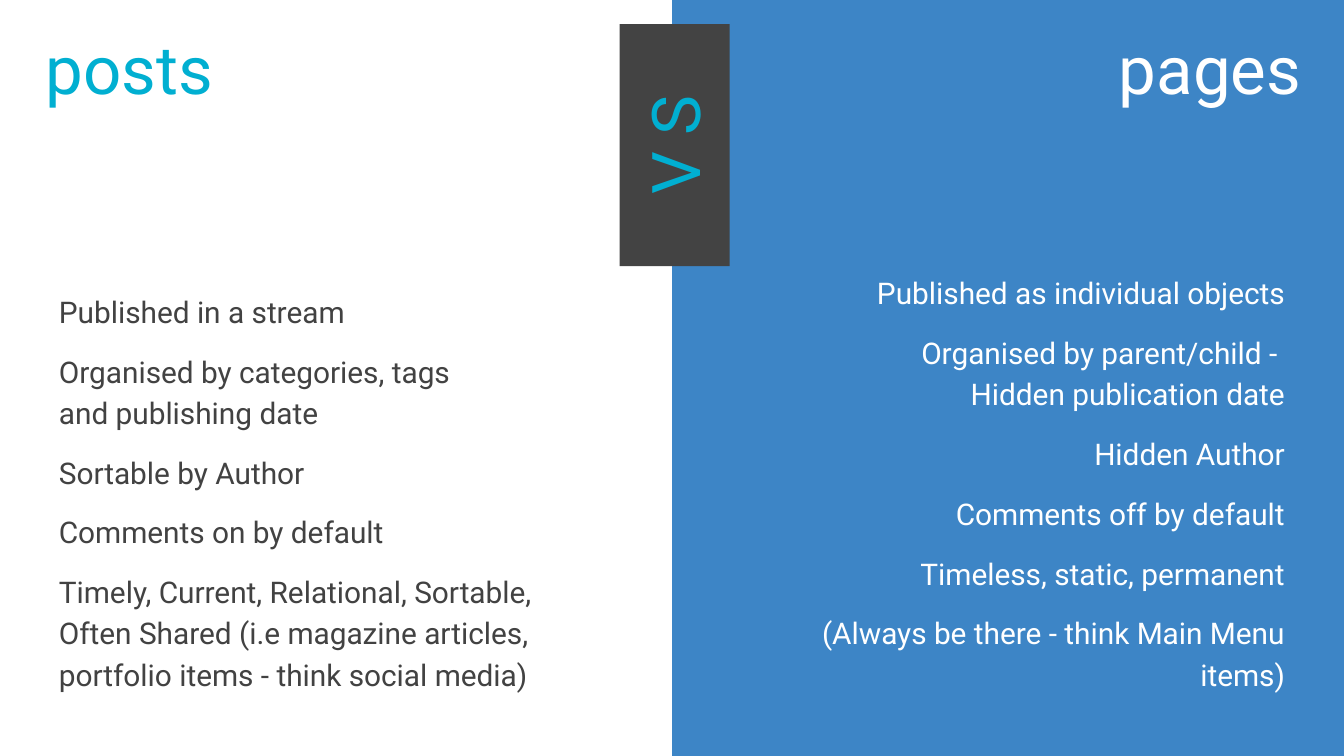
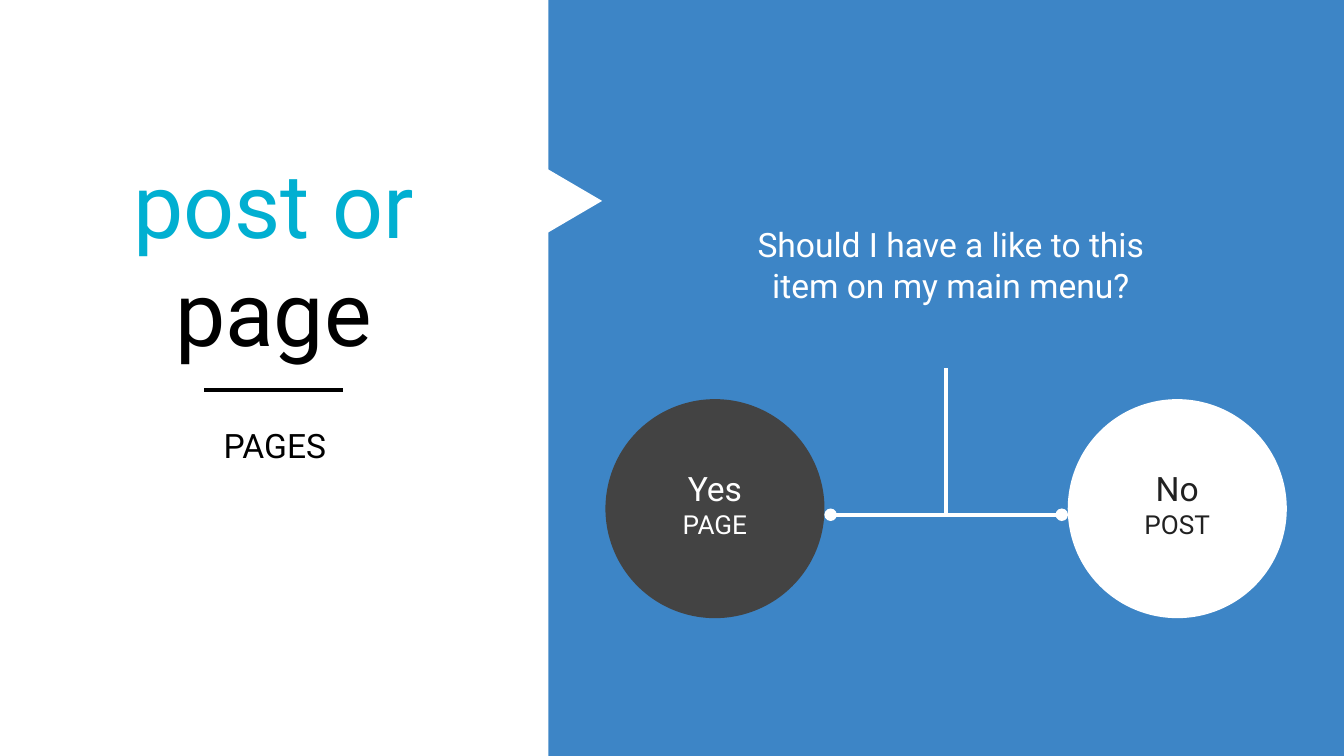
import pptx
import pptx.util
import pptx.dml.color
import pptx.enum.shapes
import pptx.enum.text
import pptx.oxml
import pptx.oxml.ns
import lxml.etree

Inches = pptx.util.Inches
Pt = pptx.util.Pt
SHAPE = pptx.enum.shapes.MSO_SHAPE
ANCHOR = pptx.enum.text.MSO_ANCHOR
ALIGN = pptx.enum.text.PP_ALIGN
qn = pptx.oxml.ns.qn

# Content
POSTS = [
    "Published in a stream",
    "Organised by categories, tags \nand publishing date",
    "Sortable by Author",
    "Comments on by default",
    "Timely, Current, Relational, Sortable, Often Shared "
    "(i.e magazine articles, portfolio items - think social media)",
]
PAGES = [
    "Published as individual objects",
    "Organised by parent/child - \nHidden publication date",
    "Hidden Author",
    "Comments off by default",
    "Timeless, static, permanent",
    "(Always be there - think Main Menu items)",
]
QUESTION = "Should I have a like to this item on my main menu?"
ANSWERS = [("Yes", "PAGE", "dark", "white"), ("No", "POST", "white", "ink")]

# Shared style
COLORS = {"blue": "3D85C6", "cyan": "01AFD1", "white": "FFFFFF", "dark": "434343",
          "body": "424242", "ink": "212121", "black": "000000"}
FONT = "Roboto"
WIDTH = 10
HEIGHT = WIDTH * 9 / 16
BLEED = 0.01
HEADING_SIZE = (3.59, 1.02)
LIST_SIZE = (4.03, 4.09)
CAPTION_SIZE = (3.49, 1.93)


def rgb(name):
    return pptx.dml.color.RGBColor.from_string(COLORS[name])


def new_slide(presentation):
    slide = presentation.slides.add_slide(presentation.slide_layouts[5])
    slide.background.fill.solid()
    slide.background.fill.fore_color.rgb = rgb("blue")
    return slide


def add_block(slide, kind, box, color, rotation=0):
    shape = slide.shapes.add_shape(kind, *map(Inches, box))
    shape.shadow.inherit = False
    shape.fill.solid()
    shape.fill.fore_color.rgb = rgb(color)
    shape.line.fill.background()
    shape.rotation = rotation
    return shape


def add_panel(slide, left, right, color):
    box = (left, -2 * BLEED, right - left, HEIGHT + 2 * BLEED)
    return add_block(slide, SHAPE.RECTANGLE, box, color)


def write(shape, paragraphs, align=ALIGN.LEFT, anchor=ANCHOR.TOP,
          spacing=None, before=0, after=0):
    """Each paragraph is a list of (text, size, color) runs."""
    frame = shape.text_frame
    frame.word_wrap = True
    frame.auto_size = pptx.enum.text.MSO_AUTO_SIZE.NONE
    frame.vertical_anchor = anchor
    frame.margin_left = frame.margin_right = Inches(0.1)
    frame.margin_top = frame.margin_bottom = Inches(0.1)
    for index, runs in enumerate(paragraphs):
        paragraph = frame.add_paragraph() if index else frame.paragraphs[0]
        paragraph.alignment = align
        paragraph.line_spacing = spacing
        paragraph.space_before = Pt(before if index else 0)
        paragraph.space_after = Pt(after if index == len(paragraphs) - 1 else 0)
        for text, size, color in runs:
            for part, line in enumerate(text.split("\n")):
                if part:
                    paragraph.add_line_break()
                run = paragraph.add_run()
                run.text = line
                run.font.name = FONT
                run.font.size = Pt(size)
                run.font.color.rgb = rgb(color)


def add_text(slide, box, paragraphs, **style):
    write(slide.shapes.add_textbox(*map(Inches, box)), paragraphs, **style)


def set_title(slide, box, runs, **style):
    title = slide.shapes.title
    title.left, title.top, title.width, title.height = map(Inches, box)
    title.element.getparent().append(title.element)  # in front of the panels
    write(title, [runs], **style)


def add_line(slide, start, end, color, dot=False):
    connector = slide.shapes.add_connector(
        pptx.enum.shapes.MSO_CONNECTOR.STRAIGHT, *map(Inches, start + end))
    connector.line.color.rgb = rgb(color)
    connector.line.width = Pt(2.25)
    properties = connector.element.spPr
    if dot:
        lxml.etree.SubElement(properties.find(qn("a:ln")), qn("a:tailEnd"), type="oval")
    lxml.etree.SubElement(properties, qn("a:effectLst"))


def build_comparison(presentation):
    slide = new_slide(presentation)
    middle = WIDTH / 2
    add_panel(slide, -BLEED, middle, "white")
    add_panel(slide, middle, WIDTH + BLEED, "blue")

    # Headings
    set_title(slide, (0.24, 0.1) + HEADING_SIZE, [("posts", 36, "cyan")])
    add_text(slide, (6.19, 0.1) + HEADING_SIZE, [[("pages", 36, "white")]],
             align=ALIGN.RIGHT)

    # Mirrored lists
    margin = 0.34
    columns = [(POSTS, margin, "body", ALIGN.LEFT),
               (PAGES, WIDTH - margin - LIST_SIZE[0], "white", ALIGN.RIGHT)]
    for items, left, color, align in columns:
        add_text(slide, (left, 1.16) + LIST_SIZE, [[(item, 16, color)] for item in items],
                 align=align, anchor=ANCHOR.BOTTOM, spacing=1.15, before=10, after=10)

    # Upright badge
    badge = add_block(slide, SHAPE.RECTANGLE, (4.12, 0.67, 1.8, 0.82), "dark", 270)
    write(badge, [[("V S", 36, "cyan")]], align=ALIGN.CENTER)


def build_decision(presentation):
    slide = new_slide(presentation)
    add_panel(slide, -BLEED, 4.08, "white")
    add_block(slide, SHAPE.FLOWCHART_EXTRACT, (3.97, 1.26, 0.55, 0.47), "white", 90)

    # Question, title and caption
    add_text(slide, (5.33, 0.44) + CAPTION_SIZE, [[(QUESTION, 18, "white")]],
             align=ALIGN.CENTER, anchor=ANCHOR.BOTTOM, after=10)
    add_text(slide, (0.3, 3.06) + CAPTION_SIZE, [[("PAGES", 18, "black")]],
             align=ALIGN.CENTER, after=10)
    set_title(slide, (0.24, 1.01, 3.59, 1.73),
              [("post or ", 48, "cyan"), ("page", 48, "black")], align=ALIGN.CENTER)
    add_line(slide, (1.52, 2.9), (2.55, 2.9), "black")

    # Answer circles, evenly placed about the stem
    stem, reach, diameter = 7.04, 1.72, 1.63
    label_width, label_height = 2.47, 0.92
    fork = (stem, 3.83)
    add_line(slide, (stem, 2.74), fork, "white")
    for side, (answer, kind, fill, color) in zip((-1, 1), ANSWERS):
        center = stem + side * reach
        add_block(slide, SHAPE.OVAL, (center - diameter / 2, 2.97, diameter, diameter), fill)
        add_text(slide, (center - label_width / 2, 3.38, label_width, label_height),
                 [[(answer, 18, color)], [(kind, 14, color)]], align=ALIGN.CENTER)
        add_line(slide, fork, (stem + side * reach / 2, fork[1]), "white", dot=True)


def main():
    presentation = pptx.Presentation()
    presentation.slide_width = Inches(WIDTH)
    presentation.slide_height = Inches(HEIGHT)
    build_comparison(presentation)
    build_decision(presentation)
    presentation.save("out.pptx")


if __name__ == "__main__":
    main()
